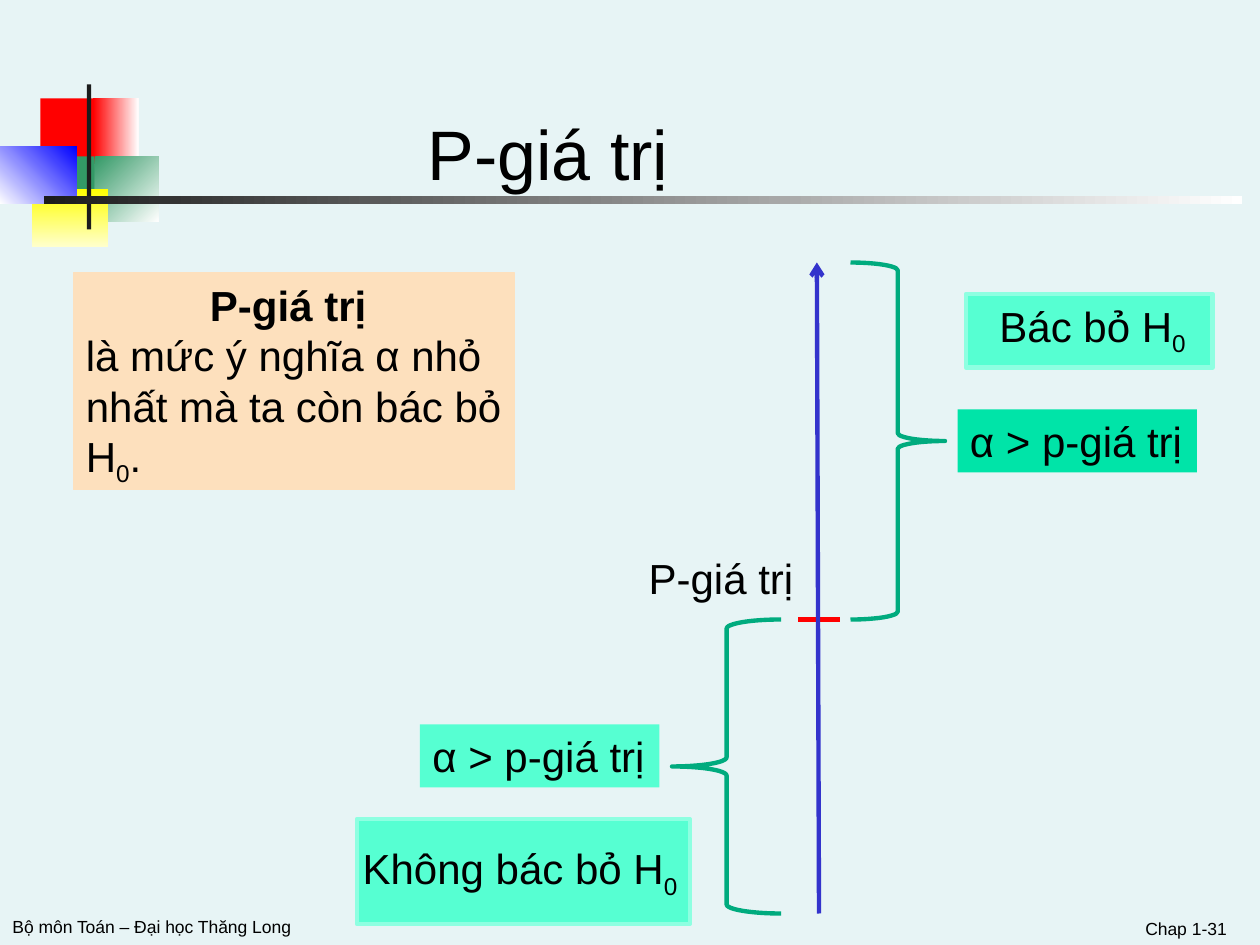
from dataclasses import dataclass
from typing import Optional

from lxml import etree
from pptx import Presentation
from pptx.dml.color import RGBColor
from pptx.enum.shapes import MSO_CONNECTOR, MSO_SHAPE
from pptx.enum.text import MSO_ANCHOR, MSO_AUTO_SIZE, PP_ALIGN
from pptx.oxml.ns import qn
from pptx.util import Inches, Length, Pt

RECTANGLE = MSO_SHAPE.RECTANGLE
LEFT_BRACE, RIGHT_BRACE = MSO_SHAPE.LEFT_BRACE, MSO_SHAPE.RIGHT_BRACE
STRAIGHT = MSO_CONNECTOR.STRAIGHT
LEFT, CENTER, RIGHT = PP_ALIGN.LEFT, PP_ALIGN.CENTER, PP_ALIGN.RIGHT
TOP, MIDDLE, BOTTOM = MSO_ANCHOR.TOP, MSO_ANCHOR.MIDDLE, MSO_ANCHOR.BOTTOM
FIT_TEXT = MSO_AUTO_SIZE.SHAPE_TO_FIT_TEXT

COLORS = {
    "background": "E7F4F5", "text": "000000", "red": "FF0000",
    "green": "339966", "yellow": "FFFF00", "cream": "FFFFCC",
    "blue": "0000FF", "white": "FFFFFF", "dark": "1C1C1C",
    "peach": "FDE0BD", "axis": "3333CC", "brace": "00AB7E",
    "teal": "00E4A8", "mint": "56FFD2", "mint edge": "8EFFE1",
}
FONT = "Arial"
COLUMNS, ROWS = 120, 90
THICK = 2.5
Area = tuple[float, float, float, float]  # column, row, columns, rows


@dataclass
class Line:
    text: str
    subscript: str = ""
    ending: str = ""
    align: PP_ALIGN = LEFT
    bold: bool = False


@dataclass
class Block:
    area: Area
    fill: Optional[str] = None
    fade_to: Optional[str] = None
    angle: float = 0  # counter-clockwise
    edge: Optional[str] = None
    edge_width: float = THICK
    shape: MSO_SHAPE = RECTANGLE


@dataclass
class Label:
    lines: list[Line]
    size: float = 24
    wrap: bool = False
    grow: bool = True
    anchor: MSO_ANCHOR = TOP


deck = Presentation()
deck.slide_width, deck.slide_height = Inches(10), Inches(7.5)


def across(columns: float) -> Length:
    return Length(round(deck.slide_width * columns / COLUMNS))


def down(rows: float) -> Length:
    return Length(round(deck.slide_height * rows / ROWS))


def place(area: Area) -> tuple[Length, Length, Length, Length]:
    column, row, columns, rows = area
    return across(column), down(row), across(columns), down(rows)


def color(name: str) -> RGBColor:
    return RGBColor.from_string(COLORS[name])


def write(box, label: Label) -> None:
    frame = box.text_frame
    frame.word_wrap = label.wrap
    frame.vertical_anchor = label.anchor
    if label.grow:
        frame.auto_size = FIT_TEXT
    for index, line in enumerate(label.lines):
        para = frame.add_paragraph() if index else frame.paragraphs[0]
        para.alignment = line.align
        para.font.name, para.font.size = FONT, Pt(label.size)
        para.font.bold = line.bold
        para.font.color.rgb = color("text")
        para.add_run().text = line.text
        if line.subscript:
            span = para.add_run()
            span.text = line.subscript
            span._r.get_or_add_rPr().set("baseline", "-25000")
        if line.ending:
            para.add_run().text = line.ending


def draw_block(page, block: Block, label: Optional[Label] = None) -> None:
    box = page.shapes.add_shape(block.shape, *place(block.area))
    box.shadow.inherit = False
    if block.fade_to:
        box.fill.gradient()
        box.fill.gradient_angle = block.angle
        for stop, name in zip(box.fill.gradient_stops, (block.fill, block.fade_to)):
            stop.color.rgb = color(name)
    elif block.fill:
        box.fill.solid()
        box.fill.fore_color.rgb = color(block.fill)
    else:
        box.fill.background()
    if block.edge:
        box.line.color.rgb = color(block.edge)
        box.line.width = Pt(block.edge_width)
    else:
        box.line.fill.background()
    if label:
        write(box, label)


def draw_text(page, area: Area, label: Label) -> None:
    write(page.shapes.add_textbox(*place(area)), label)


def draw_line(page, start: tuple[float, float], end: tuple[float, float],
              name: str, arrow: bool = False) -> None:
    line = page.shapes.add_connector(
        STRAIGHT, across(start[0]), down(start[1]), across(end[0]), down(end[1]))
    line.line.color.rgb = color(name)
    line.line.width = Pt(THICK)
    properties = line._element.spPr
    if arrow:
        etree.SubElement(properties.find(qn("a:ln")), qn("a:tailEnd"), type="arrow")
    etree.SubElement(properties, qn("a:effectLst"))


ORNAMENT = [
    Block((3.84, 9.36, 5.76, 6.24), "red"),
    Block((8.88, 9.36, 4.32, 6.24), "red", "white"),
    Block((9, 14.88, 6.12, 6.24), "green", "white", 315),
    Block((5.16, 14.88, 3.84, 6.24), "green"),
    Block((3, 18, 7.32, 5.52), "yellow", "cream", 270),
    Block((0, 13.92, 7.32, 5.52), "white", "blue", 45),
    Block((8.28, 8.04, 0.4, 13.8), "dark"),
    Block((4.2, 18.72, 114.12, 0.72), "dark", "white"),
]


def main() -> None:
    page = deck.slides.add_slide(deck.slide_layouts[6])
    page.background.fill.solid()
    page.background.fill.fore_color.rgb = color("background")

    # Title ornament, footer and title
    for block in ORNAMENT:
        draw_block(page, block)
    draw_text(page, (90, 85.8, 28, 4.2), Label(
        [Line("Chap 1-31", align=RIGHT)], 10, wrap=True, grow=False, anchor=BOTTOM))
    draw_text(page, (0, 86.64, 58, 3.36), Label(
        [Line("Bộ môn Toán – Đại học Thăng Long")], 10, wrap=True, grow=False))
    draw_text(page, (39.36, 9.96, 25.68, 9.24),
              Label([Line("P-giá trị", align=CENTER)], 40))

    # Definition
    draw_block(page, Block((7, 26, 42, 20.64), "peach", edge="peach", edge_width=0.75),
               Label([Line("P-giá trị ", align=CENTER, bold=True),
                      Line("là mức ý nghĩa α nhỏ nhất mà ta còn bác bỏ H", "0", ".")],
                     wrap=True))

    # Axis with the p-value mark
    draw_line(page, (80, 59), (76, 59), "red")
    draw_line(page, (78, 87), (77.8, 25), "axis", arrow=True)
    draw_text(page, (60.6, 52, 16.32, 6), Label([Line("P-giá trị")]))

    # Rejection range above the mark
    condition = Label([Line("α > p-giá trị")])
    draw_block(page, Block((81, 25, 9, 34), edge="brace", shape=RIGHT_BRACE))
    draw_block(page, Block((91.2, 39, 22.8, 6), "teal"), condition)
    draw_block(page, Block((92, 28, 23.5, 7), "mint", edge="mint edge"))
    draw_text(page, (94, 28, 20.5, 6), Label([Line("Bác bỏ H", "0")]))

    # Non-rejection range below the mark
    draw_block(page, Block((64, 59, 10.4, 28), edge="brace", shape=LEFT_BRACE))
    draw_block(page, Block((40, 69, 22.8, 6), "mint"), condition)
    draw_block(page, Block((34, 78, 31.7, 10), "mint", edge="mint edge"),
               Label([Line("Không bác bỏ H", "0 ", align=CENTER)],
                     grow=False, anchor=MIDDLE))

    deck.save("out.pptx")


if __name__ == "__main__":
    main()
